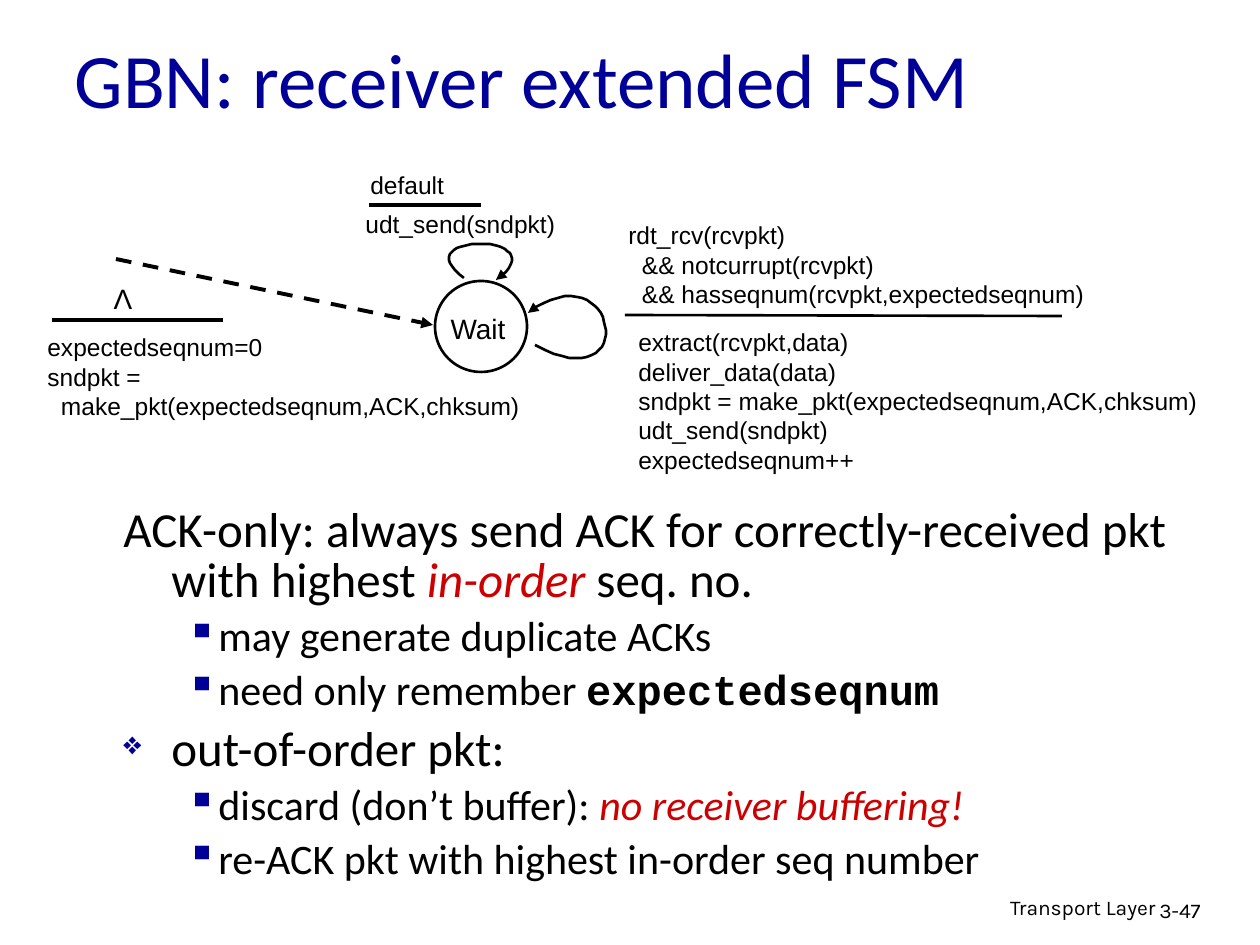
from lxml import etree
from pptx import Presentation
from pptx.dml.color import RGBColor
from pptx.enum.dml import MSO_LINE
from pptx.enum.shapes import MSO_CONNECTOR, MSO_SHAPE
from pptx.enum.text import MSO_ANCHOR, MSO_AUTO_SIZE, PP_ALIGN
from pptx.oxml.ns import qn
from pptx.util import Pt

EMU_PER_PX = 914400 / 126
LEFT, CENTER, RIGHT = PP_ALIGN.LEFT, PP_ALIGN.CENTER, PP_ALIGN.RIGHT
MIDDLE, NO_FIT = MSO_ANCHOR.MIDDLE, MSO_AUTO_SIZE.NONE
STRAIGHT, OVAL, DASH = MSO_CONNECTOR.STRAIGHT, MSO_SHAPE.OVAL, MSO_LINE.DASH
COLORS = {"ink": "000000", "navy": "000099", "red": "CC0000", "paper": "FFFFFF"}
CURVE_STEPS = 32


def px(length):
    return round(length * EMU_PER_PX)


def color(name):
    return RGBColor.from_string(COLORS[name])


def style_font(font, size, face, name="ink"):
    font.size, font.name = Pt(size), face
    font.color.rgb = color(name)


def add_label(slide, box, lines, size=14, face="Arial", align=LEFT, wrap=True):
    frame = slide.shapes.add_textbox(*map(px, box)).text_frame
    frame.word_wrap = wrap
    frame.text = "\n".join(lines)
    for paragraph in frame.paragraphs:
        paragraph.alignment = align
        for run in paragraph.runs:
            style_font(run.font, size, face)
    return frame


def style_line(shape, width, arrow):
    shape.line.color.rgb = color("ink")
    shape.line.width = Pt(width)
    if arrow:
        line = shape.line._get_or_add_ln()
        etree.SubElement(line, qn("a:tailEnd"), type="triangle")


def add_line(slide, start, end, width=2.25, dash=None, arrow=False):
    line = slide.shapes.add_connector(STRAIGHT, *map(px, start + end))
    line.line.dash_style = dash
    style_line(line, width, arrow)
    etree.SubElement(line._element.spPr, qn("a:effectLst"))


def add_loop(slide, *controls):
    """Draw a cubic curve through its four control points, with an arrowhead."""
    points = []
    for step in range(CURVE_STEPS + 1):
        t = step / CURVE_STEPS
        weights = ((1 - t) ** 3, 3 * t * (1 - t) ** 2, 3 * t * t * (1 - t), t ** 3)
        points.append(tuple(sum(w * c[axis] for w, c in zip(weights, controls))
                            for axis in (0, 1)))
    builder = slide.shapes.build_freeform(*points[0], scale=EMU_PER_PX)
    builder.add_line_segments(points[1:], close=False)
    loop = builder.convert_to_shape()
    loop.fill.background()
    loop.shadow.inherit = False
    style_line(loop, 1.5, arrow=True)


def add_state(slide, box):
    state = slide.shapes.add_shape(OVAL, *map(px, box))
    state.shadow.inherit = False
    state.fill.solid()
    state.fill.fore_color.rgb = color("paper")
    style_line(state, 1.5, arrow=False)


def add_bullet(paragraph, level, symbol, size):
    """Set the hanging indent and, when given, the bullet symbol."""
    margin, hang = ((48, 48), (95, 32))[level]
    properties = paragraph._p.get_or_add_pPr()
    properties.set("marL", str(px(margin)))
    properties.set("indent", str(-px(hang)))
    if not symbol:
        etree.SubElement(properties, qn("a:buNone"))
        return
    bullet_color = etree.SubElement(properties, qn("a:buClr"))
    etree.SubElement(bullet_color, qn("a:srgbClr"), val=COLORS["navy"])
    etree.SubElement(properties, qn("a:buSzPct"), val=str(size * 1000))
    etree.SubElement(properties, qn("a:buChar"), char=symbol)


def add_notes_list(slide, box, items):
    frame = slide.shapes.add_textbox(*map(px, box)).text_frame
    frame.word_wrap = True
    for index, (level, symbol, pieces) in enumerate(items):
        paragraph = frame.add_paragraph() if index else frame.paragraphs[0]
        paragraph.level = level
        paragraph.line_spacing = 0.85
        paragraph.space_before = Pt((7, 6)[level] if index else 0)
        add_bullet(paragraph, level, symbol, (65, 100)[level])
        for text, kind in pieces:
            run = paragraph.add_run()
            run.text = text
            style_font(run.font, (28, 24)[level],
                       "Courier New" if kind == "code" else "Calibri",
                       "red" if kind == "stress" else "ink")
            run.font.bold = kind == "code"
            run.font.italic = kind == "stress"


def set_title(slide, box, text):
    title = slide.shapes.title
    title.left, title.top, title.width, title.height = map(px, box)
    frame = title.text_frame
    frame.text = text
    frame.auto_size, frame.vertical_anchor = NO_FIT, MIDDLE
    frame.paragraphs[0].alignment = LEFT
    style_font(frame.paragraphs[0].runs[0].font, 44, "Calibri", "navy")


def main():
    deck = Presentation()
    deck.slide_width, deck.slide_height = px(1260), px(945)
    slide = deck.slides.add_slide(deck.slide_layouts[5])
    set_title(slide, (62, 29, 1071, 97), "GBN: receiver extended FSM")

    # Footer
    add_label(slide, (769, 888, 399, 39), ["Transport Layer"], 12, "Karla", RIGHT)
    add_label(slide, (1147, 891, 93, 38), ["3-47"], 12, "Karla")

    # Explanation
    add_notes_list(slide, (111, 501, 1123, 393), [
        (0, "", [("ACK-only: always send ACK for correctly-received pkt "
                  "with highest ", ""), ("in-order", "stress"), (" seq. no.", "")]),
        (1, "▪", [("may generate duplicate ACKs", "")]),
        (1, "▪", [("need only remember ", ""), ("expectedseqnum", "code")]),
        (0, "❖", [("out-of-order pkt:", "")]),
        (1, "▪", [("discard (don’t buffer): ", ""),
                  ("no receiver buffering!", "stress")]),
        (1, "▪", [("re-ACK pkt with highest in-order seq number", "")]),
    ])

    # Waiting state
    add_state(slide, (435, 281, 92, 91))
    add_label(slide, (423, 305, 110, 33), ["Wait"], 16, align=CENTER)

    # Initial transition
    add_line(slide, (116, 259), (433, 325), dash=DASH, arrow=True)
    add_label(slide, (101, 275, 44, 47), ["Λ"], 16, align=CENTER, wrap=False)
    add_line(slide, (52, 320), (223, 320))
    add_label(slide, (35, 326, 501, 135), [
        "expectedseqnum=0",
        "sndpkt =",
        "  make_pkt(expectedseqnum,ACK,chksum)",
    ])

    # Default transition
    add_label(slide, (358, 164, 100, 34), ["default"])
    add_line(slide, (369, 205), (481, 205))
    add_label(slide, (353, 203, 223, 43), ["udt_send(sndpkt)"])
    add_loop(slide, (464, 278), (401, 232), (561, 232), (496, 280))

    # Transition for an expected packet
    add_loop(slide, (535, 345), (643, 404), (617, 246), (528, 313))
    add_label(slide, (616, 214, 491, 78), [
        "rdt_rcv(rcvpkt)",
        "  && notcurrupt(rcvpkt)",
        "  && hasseqnum(rcvpkt,expectedseqnum)",
    ])
    add_line(slide, (625, 315), (1062, 316), width=1.5)
    add_label(slide, (626, 321, 595, 118), [
        "extract(rcvpkt,data)",
        "deliver_data(data)",
        "sndpkt = make_pkt(expectedseqnum,ACK,chksum)",
        "udt_send(sndpkt)",
        "expectedseqnum++",
    ])

    deck.save("out.pptx")


if __name__ == "__main__":
    main()
